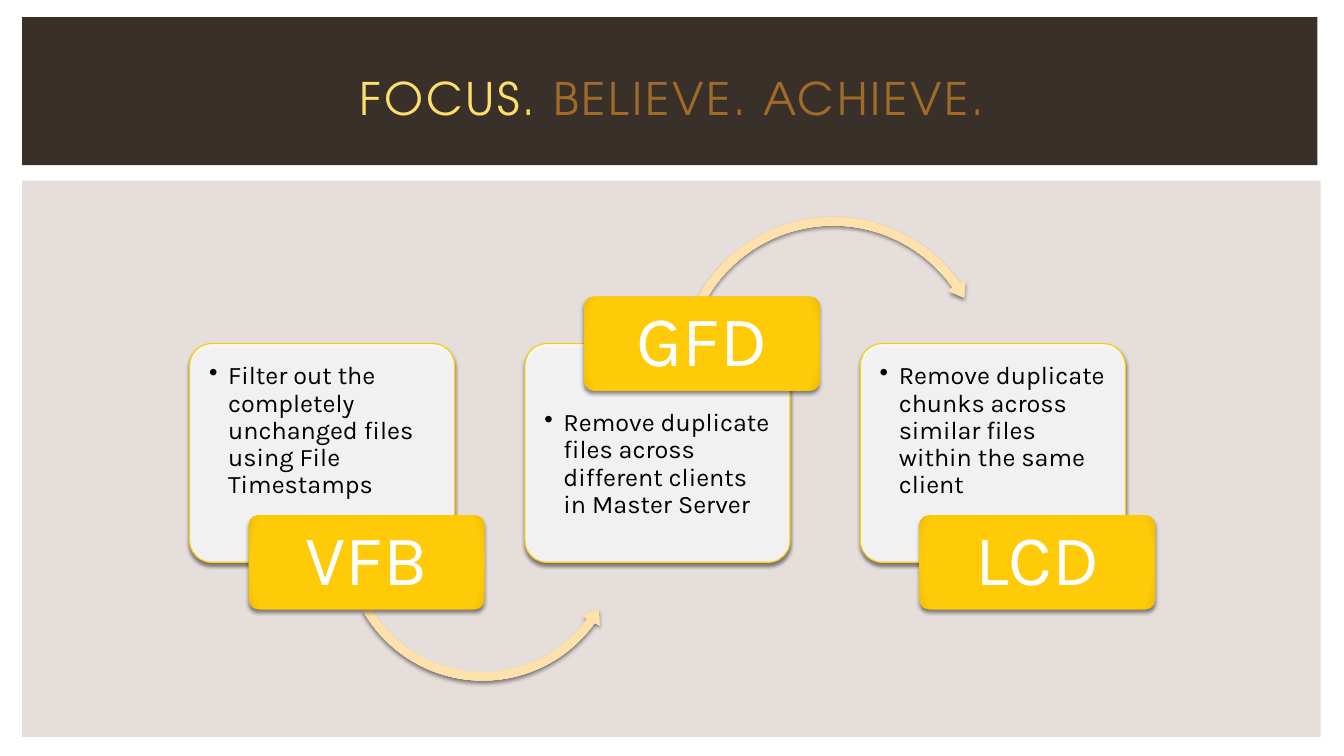
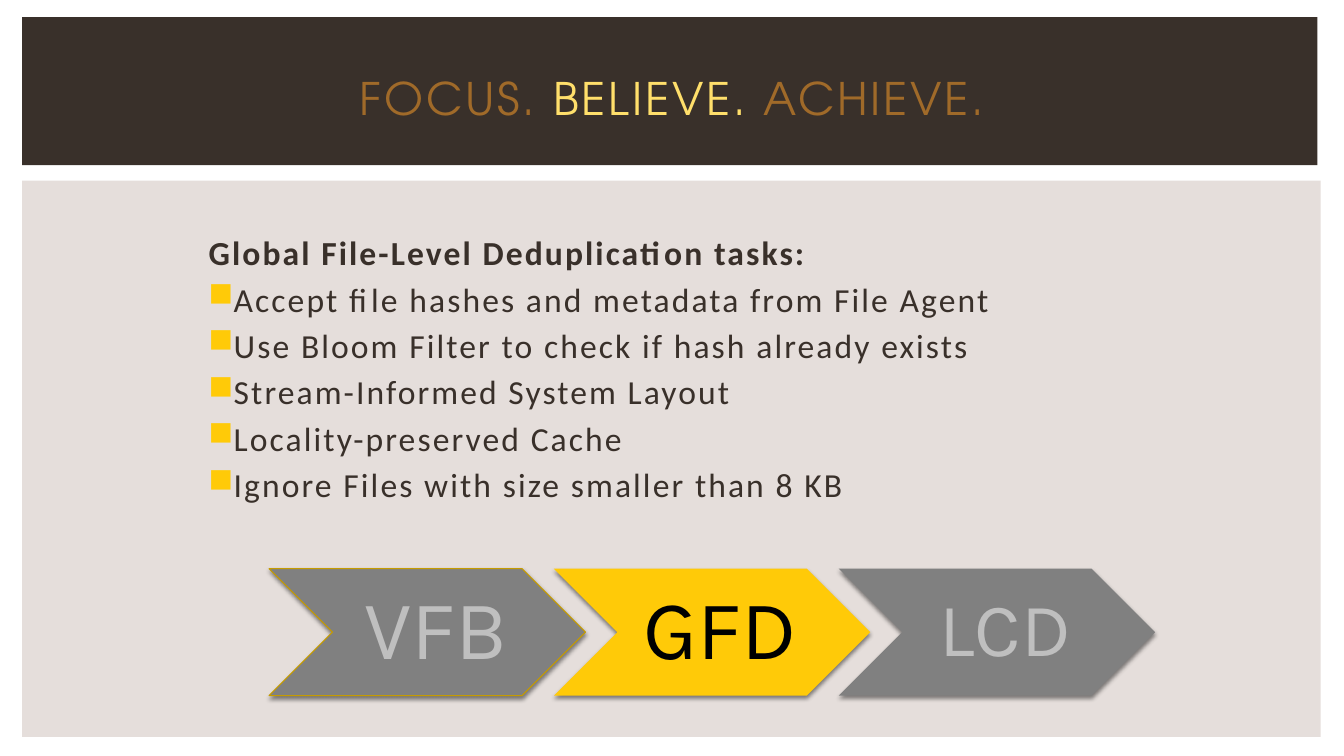
from pptx import Presentation
from pptx.dml.color import RGBColor
from pptx.enum.shapes import MSO_SHAPE
from pptx.enum.text import MSO_ANCHOR, PP_ALIGN
from pptx.oxml import parse_xml
from pptx.oxml.ns import nsdecls, qn
from pptx.util import Cm, Pt

RECT, ROUND = MSO_SHAPE.RECTANGLE, MSO_SHAPE.ROUNDED_RECTANGLE
CHEVRON = MSO_SHAPE.CHEVRON
ARC, LEFT_ARC = MSO_SHAPE.CIRCULAR_ARROW, MSO_SHAPE.LEFT_CIRCULAR_ARROW
TOP, MIDDLE = MSO_ANCHOR.TOP, MSO_ANCHOR.MIDDLE
LEFT, CENTER = PP_ALIGN.LEFT, PP_ALIGN.CENTER

COLORS = {
    "white": "FFFFFF", "black": "000000", "panel": "E5DEDB",
    "dark": "39302A", "lit": "FFDF6B", "dim": "A06A29",
    "gold": "FFCA08", "gold edge": "EEBC07", "gold line": "C59B00",
    "sand": "FFE1AB", "sand edge": "EED2A0",
    "gray": "808080", "pale": "BFBFBF",
}
HEAD, LABEL, BODY = "TeX Gyre Adventor", "Karla", "Calibri"
WORDS = ("FOCUS. ", "BELIEVE. ", "ACHIEVE.")
STAGES = ("VFB", "GFD", "LCD")


def rgb(name):
    return RGBColor.from_string(COLORS[name])


def xml(text):
    head, tail = text.split(">", 1)
    slash = "/" if head.endswith("/") else ""
    return parse_xml(f"{head.rstrip('/')} {nsdecls('a')}{slash}>{tail}")


# Shape helpers
def add_form(slide, kind, box, fill, line=None, width=0.75):
    form = slide.shapes.add_shape(kind, *map(Cm, box))
    form.shadow.inherit = False
    form.fill.solid()
    form.fill.fore_color.rgb = rgb(fill)
    if line:
        form.line.color.rgb = rgb(line)
        form.line.width = Pt(width)
    else:
        form.line.fill.background()
    return form


def set_shadow(form, alpha=45, blur=3):
    form._element.spPr.find(qn("a:effectLst")).append(xml(
        f'<a:outerShdw blurRad="{Pt(blur)}" dist="{Pt(2)}" dir="5400000" '
        f'rotWithShape="0"><a:srgbClr val="{COLORS["black"]}">'
        f'<a:alpha val="{alpha * 1000}"/></a:srgbClr></a:outerShdw>'))


def set_glow(form, inner, edge):
    stops = "".join(
        f'<a:gs pos="{pos}"><a:srgbClr val="{COLORS[name]}"/></a:gs>'
        for pos, name in ((0, inner), (90000, inner), (100000, edge)))
    rim = " ".join(f'{side}="100000"' for side in "ltrb")
    props = form._element.spPr
    props.replace(props.find(qn("a:solidFill")), xml(
        f'<a:gradFill rotWithShape="1"><a:gsLst>{stops}</a:gsLst>'
        f'<a:path path="circle"><a:fillToRect {rim}/></a:path></a:gradFill>'))


# Text helpers
def set_frame(form, anchor, pads):
    frame = form.text_frame
    frame.word_wrap = True
    frame.vertical_anchor = anchor
    (frame.margin_left, frame.margin_top,
     frame.margin_right, frame.margin_bottom) = map(Cm, pads)
    return frame


def style(run, font, size, color, bold=False, gap=0):
    run.font.name = font
    run.font.size = Pt(size)
    run.font.bold = bold
    run.font.color.rgb = rgb(color)
    if gap:
        run._r.get_or_add_rPr().set("spc", str(int(gap * 100)))


def set_bullet(par, mark, left, hang, color=None):
    props = par._p.get_or_add_pPr()
    props.set("marL", str(Cm(left)))
    props.set("indent", str(-Cm(hang)))
    if color:
        props.append(xml(f'<a:buClr><a:srgbClr val="{COLORS[color]}"/></a:buClr>'))
    props.append(xml(f'<a:buChar char="{mark}"/>'))


def set_label(form, text, size, color, pads):
    frame = set_frame(form, MIDDLE, pads)
    frame.text = text
    par = frame.paragraphs[0]
    par.alignment = CENTER
    par.line_spacing = 0.9
    style(par.runs[0], LABEL, size, color)


# Shared background and title, with one word lit
def add_base(deck, lit):
    slide = deck.slides.add_slide(deck.slide_layouts[6])
    add_form(slide, RECT, (0.56, 4.55, 32.72, 14.02), "panel")
    add_form(slide, RECT, (0.56, 0.43, 32.64, 3.73), "dark")
    title = slide.shapes.add_textbox(*map(Cm, (1.42, 0.99, 31.04, 2.92)))
    par = set_frame(title, MIDDLE, (0.25, 0.13, 0.25, 0.13)).paragraphs[0]
    par.alignment = CENTER
    for i, word in enumerate(WORDS):
        run = par.add_run()
        run.text = word
        style(run, HEAD, 32, "lit" if i == lit else "dim", gap=2)
    return slide


# Card with a label across its top or bottom edge, and an arc to the next
def add_card(slide, box, name, text, up, arc):
    x, y, w, h = box
    wide, high = 5.94, 2.36
    card = add_form(slide, ROUND, box, "white", "gold", 0.79)
    card.adjustments[0] = 0.1
    card._element.spPr.find(qn("a:solidFill"))[0].append(
        xml('<a:alpha val="90000"/>'))
    set_shadow(card, 50, 2.5)
    pad = 0.33
    frame = set_frame(card, TOP, (pad, pad + up * high / 2, pad, pad))
    frame.text = text
    par = frame.paragraphs[0]
    par.alignment = LEFT
    par.line_spacing = 0.9
    set_bullet(par, "•", 0.48, 0.48)
    style(par.runs[0], LABEL, 18, "black")

    if arc:
        kind, dx, dy, size, bends = arc
        arrow = add_form(slide, kind, (x + dx, y + dy, size, size), "sand")
        for i, bend in enumerate(bends):
            arrow.adjustments[i] = bend
        set_glow(arrow, "sand", "sand edge")
        set_shadow(arrow)

    edge = y if up else y + h
    label = add_form(slide, ROUND, (x + 1.49, edge - high / 2, wide, high), "gold")
    label.adjustments[0] = 0.1
    set_glow(label, "gold", "gold edge")
    set_shadow(label)
    set_label(label, name, 51, "white", (0.28, 0.18, 0.28, 0.18))


def add_cards(slide, box, texts):
    x, y, w, h = box
    wide = 6.68
    step = (w - wide) / (len(texts) - 1)
    arcs = (
        (LEFT_ARC, 3.78, 1.42, 7.21, (0.029, 3.602, 21.357, 90.245, 0.034)),
        (ARC, 3.73, -3.33, 8.08, (0.026, 3.197, 195.047, 125.755, 0.031)),
        None,
    )
    for i, (name, text, arc) in enumerate(zip(STAGES, texts, arcs)):
        add_card(slide, (x + i * step, y, wide, h), name, text, i % 2, arc)


# Heading with a bulleted list
def add_tasks(slide, box, lines):
    area = slide.shapes.add_textbox(*map(Cm, box))
    frame = set_frame(area, TOP, (0.25, 0.13, 0.25, 0.13))
    frame.text = "\n".join(lines)
    for i, par in enumerate(frame.paragraphs):
        par.space_before = Pt(4.3)
        if i:
            set_bullet(par, "■", 0.76, 0.64, "gold")
        else:
            par._p.get_or_add_pPr().set("marL", str(Cm(0.13)))
        style(par.runs[0], BODY, 24, "dark", i == 0, 1.5)


# Row of chevrons, with the current stage in gold
def add_steps(slide, box, now):
    x, y, w, h = box
    wide = w / (1 + 0.9 * (len(STAGES) - 1))
    sizes = (60, 60, 54)
    for i, (name, size) in enumerate(zip(STAGES, sizes)):
        fill, ink = ("gold", "black") if i == now else ("gray", "pale")
        step = add_form(slide, CHEVRON, (x + 0.9 * wide * i, y, wide, h),
                        fill, None if i else "gold line")
        set_shadow(step)
        set_label(step, name, size, ink, (0.66, 0.23, 0.23, 0.23))


deck = Presentation()
deck.slide_width, deck.slide_height = Cm(33.87), Cm(19.05)

add_cards(add_base(deck, 0), (4.78, 8.66, 23.58, 5.51), (
    "Filter out the completely unchanged files using File Timestamps",
    "Remove duplicate files across different clients in Master Server",
    "Remove duplicate chunks across similar files within the same client",
))

slide = add_base(deck, 1)
add_tasks(slide, (4.88, 5.72, 25.4, 10.16), (
    "Global File-Level Deduplication tasks:",
    "Accept file hashes and metadata from File Agent",
    "Use Bloom Filter to check if hash already exists",
    "Stream-Informed System Layout",
    "Locality-preserved Cache",
    "Ignore Files with size smaller than 8 KB",
))
add_steps(slide, (6.78, 14.33, 22.33, 3.2), 1)

deck.save("out.pptx")
